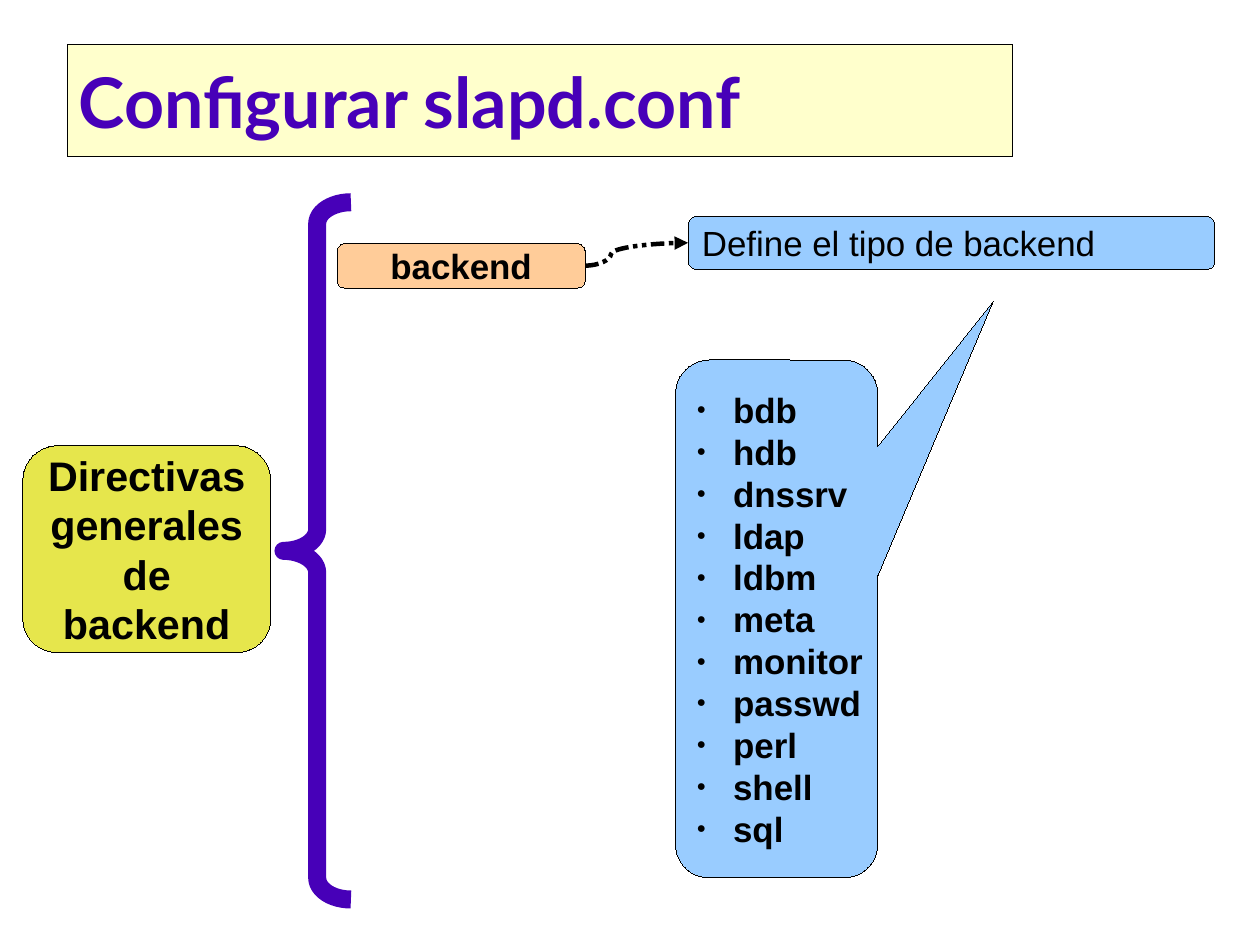
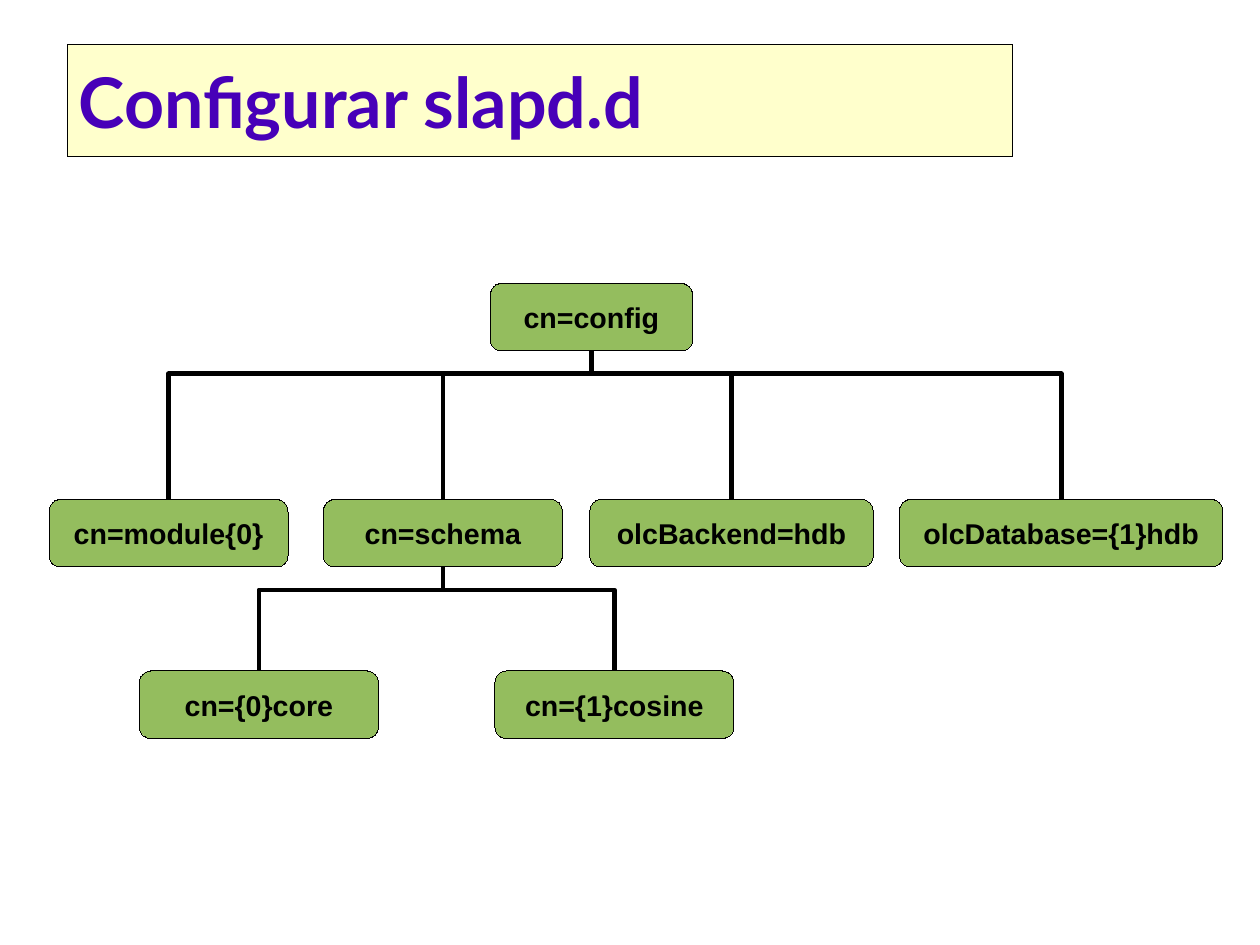
from lxml import etree
from pptx import Presentation
from pptx.dml.color import RGBColor
from pptx.enum.shapes import MSO_CONNECTOR, MSO_SHAPE
from pptx.enum.text import MSO_ANCHOR, PP_ALIGN
from pptx.oxml.ns import qn
from pptx.util import Inches, Pt

RECT, ROUNDED = MSO_SHAPE.RECTANGLE, MSO_SHAPE.ROUNDED_RECTANGLE
BRACE, CALLOUT = MSO_SHAPE.LEFT_BRACE, MSO_SHAPE.ROUNDED_RECTANGULAR_CALLOUT
ELBOW, CURVE = MSO_CONNECTOR.ELBOW, MSO_CONNECTOR.CURVE
LEFT, CENTER, MIDDLE = PP_ALIGN.LEFT, PP_ALIGN.CENTER, MSO_ANCHOR.MIDDLE
SITE_TOP, SITE_LEFT, SITE_BOTTOM, SITE_RIGHT = range(4)

# The page is 28 by 21 centimetres
PAGE_WIDTH, PAGE_HEIGHT = Inches(28 / 2.54), Inches(21 / 2.54)
COLORS = {
    "ink": "000000", "purple": "4700B8", "cream": "FFFFCC", "lime": "E6E64C",
    "peach": "FFCC99", "sky": "99CCFF", "green": "94BD5E",
}
BODY_FONT, TITLE_FONT = "Arial", "Lato"
CORNER = 0.167
LINK_WIDTH = 2.83

CONF_TITLE = "Configurar slapd.conf"
TOPIC = "Directivas generales de backend"
DIRECTIVE = "backend"
MEANING = "Define el tipo de backend"
BACKENDS = ["bdb", "hdb", "dnssrv", "ldap", "ldbm", "meta", "monitor",
            "passwd", "perl", "shell", "sql"]

TREE_TITLE = "Configurar slapd.d"
# entry: (left, top, width, parent)
TREE = {
    "cn=config": (4.29, 2.48, 1.77, None),
    "cn=module{0}": (0.43, 4.37, 2.09, "cn=config"),
    "cn=schema": (2.83, 4.37, 2.09, "cn=config"),
    "olcBackend=hdb": (5.16, 4.37, 2.48, "cn=config"),
    "olcDatabase={1}hdb": (7.87, 4.37, 2.83, "cn=config"),
    "cn={0}core": (1.22, 5.87, 2.09, "cn=schema"),
    "cn={1}cosine": (4.33, 5.87, 2.09, "cn=schema"),
}
ENTRY_HEIGHT = 0.59
TRUNK_DROP = 0.2


def color(name):
    return RGBColor.from_string(COLORS[name])


def stroke_of(shape):
    return shape.element.spPr.find(qn("a:ln"))


def add_box(slide, kind, place, fill, lines, size, align=CENTER, bold=True,
            font=BODY_FONT, ink="ink"):
    box = slide.shapes.add_shape(kind, *map(Inches, place))
    box.shadow.inherit = False
    box.fill.solid()
    box.fill.fore_color.rgb = color(fill)
    box.line.color.rgb = color("ink")
    stroke_of(box).set("w", "0")
    if kind == ROUNDED:
        box.adjustments[0] = CORNER
    frame = box.text_frame
    frame.word_wrap = True
    frame.vertical_anchor = MIDDLE
    frame.text = "\n".join(lines)
    for paragraph in frame.paragraphs:
        paragraph.alignment = align
        style = paragraph.runs[0].font
        style.name, style.size, style.bold = font, Pt(size), bold
        style.color.rgb = color(ink)
    return box


def add_bullets(frame, indent):
    for paragraph in frame.paragraphs:
        props = paragraph._p.get_or_add_pPr()
        props.set("marL", str(Inches(indent)))
        props.set("indent", str(-Inches(indent)))
        etree.SubElement(props, qn("a:buSzPct"), val="45000")
        etree.SubElement(props, qn("a:buFont"), typeface=BODY_FONT)
        etree.SubElement(props, qn("a:buChar"), char="●")


def add_link(slide, kind, source, source_site, target, target_site, bend):
    """Join two boxes; bend is the share of the way where the link turns."""
    link = slide.shapes.add_connector(kind, 0, 0, 0, 0)
    link.begin_connect(source, source_site)
    link.end_connect(target, target_site)
    link.line.color.rgb = color("ink")
    link.line.width = Pt(LINK_WIDTH)
    props = link.element.spPr
    etree.SubElement(props, qn("a:effectLst"))
    guides = props.find(qn("a:prstGeom")).find(qn("a:avLst"))
    etree.SubElement(guides, qn("a:gd"), name="adj1", fmla=f"val {round(bend * 100000)}")
    return link


def add_branch(slide, parent, child):
    """Elbow that leaves the parent downwards: a sideways elbow, turned."""
    drop = child.top - parent.top - parent.height
    link = add_link(slide, ELBOW, parent, SITE_BOTTOM, child, SITE_TOP,
                    Inches(TRUNK_DROP) / drop)
    start = parent.left + parent.width // 2
    end = child.left + child.width // 2
    reach = abs(end - start)
    link.left = (start + end - drop) // 2
    link.top = child.top - (drop + reach) // 2
    link.width, link.height = drop, reach
    to_right = end > start
    frame = link.element.spPr.find(qn("a:xfrm"))
    frame.set("rot", str((270 if to_right else 90) * 60000))
    frame.set("flipH", str(int(to_right)))
    frame.set("flipV", "0")


def add_titled_slide(deck, title):
    slide = deck.slides.add_slide(deck.slide_layouts[6])
    add_box(slide, RECT, (0.59, 0.39, 8.27, 0.98), "cream", [title], 44,
            align=LEFT, font=TITLE_FONT, ink="purple")
    return slide


def build_directives(deck):
    slide = add_titled_slide(deck, CONF_TITLE)
    add_box(slide, ROUNDED, (0.2, 3.9, 2.17, 1.81), "lime", [TOPIC], 26)

    brace = slide.shapes.add_shape(BRACE, *map(Inches, (2.48, 1.77, 0.59, 6.1)))
    brace.shadow.inherit = False
    brace.fill.background()
    brace.line.color.rgb = color("purple")
    brace.line.width = Pt(11.34)
    brace.adjustments[0] = 0.32
    etree.SubElement(stroke_of(brace), qn("a:round"))

    directive = add_box(slide, ROUNDED, (2.95, 2.13, 2.17, 0.39), "peach", [DIRECTIVE], 22)
    meaning = add_box(slide, ROUNDED, (6.02, 1.89, 4.61, 0.47), "sky", [MEANING], 22,
                      align=LEFT, bold=False)
    arrow = add_link(slide, CURVE, directive, SITE_RIGHT, meaning, SITE_LEFT, 0.25)
    etree.SubElement(stroke_of(arrow), qn("a:prstDash"), val="sysDashDotDot")
    etree.SubElement(stroke_of(arrow), qn("a:tailEnd"), type="triangle")

    backends = add_box(slide, CALLOUT, (5.91, 3.15, 1.77, 4.53), "sky", BACKENDS, 22,
                       align=LEFT)
    for index, value in enumerate((1.07, -0.613, CORNER)):
        backends.adjustments[index] = value
    backends.text_frame.word_wrap = False
    add_bullets(backends.text_frame, 0.32)


def build_tree(deck):
    slide = add_titled_slide(deck, TREE_TITLE)
    entries = {}
    for name, (left, top, width, parent) in TREE.items():
        entries[name] = add_box(slide, ROUNDED, (left, top, width, ENTRY_HEIGHT),
                                "green", [name], 18)
        if parent:
            add_branch(slide, entries[parent], entries[name])


def main():
    deck = Presentation()
    deck.slide_width, deck.slide_height = PAGE_WIDTH, PAGE_HEIGHT
    build_directives(deck)
    build_tree(deck)
    deck.save("out.pptx")


if __name__ == "__main__":
    main()
